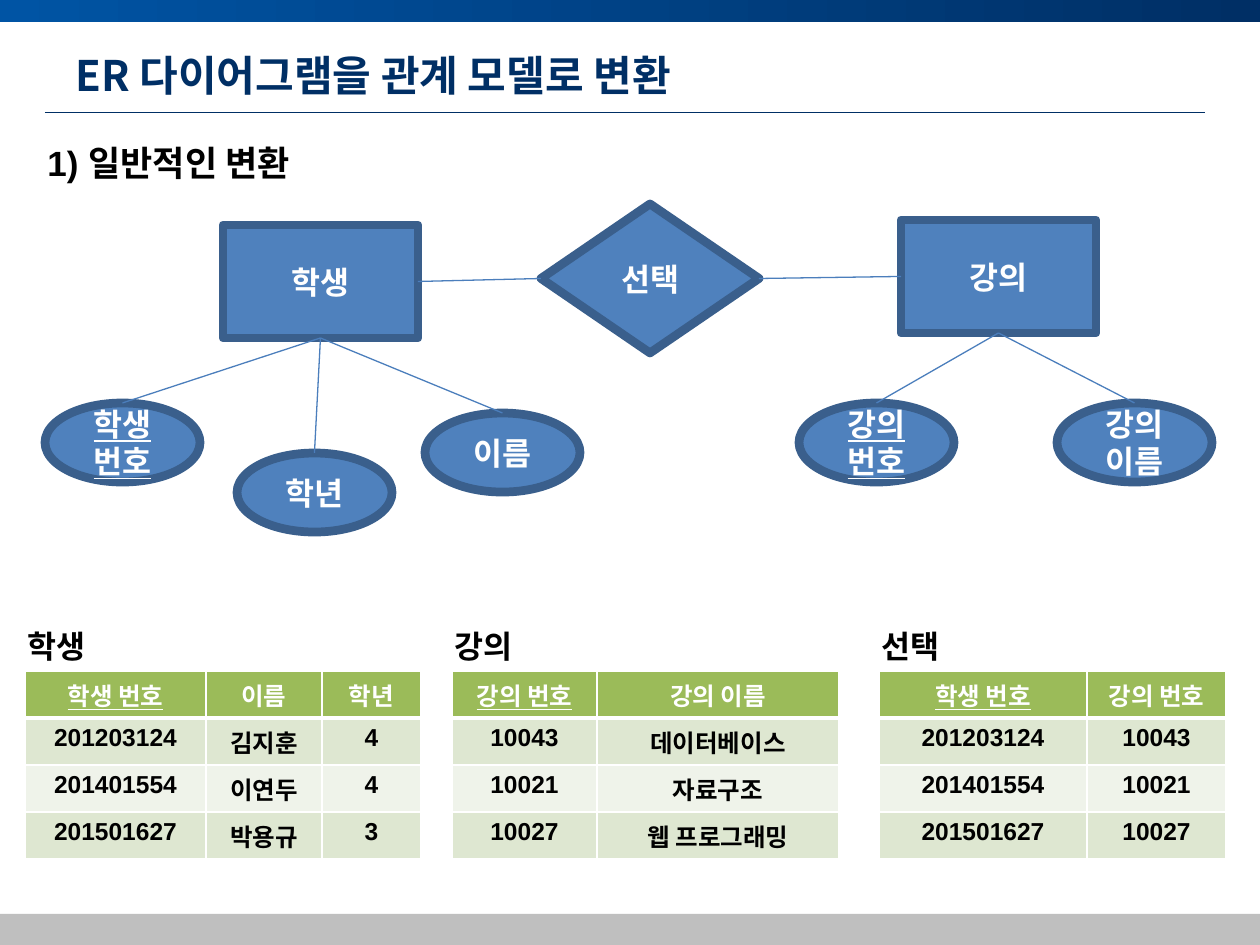
from dataclasses import dataclass

from lxml import etree
from pptx import Presentation
from pptx import util as u
from pptx.dml.color import RGBColor
from pptx.enum import shapes, text
from pptx.oxml import ns

SCALE = 914400 / 126  # EMU in one px
FONT = "Noto Sans CJK KR"
HUES = {
    "navy": "002F65", "blue": "0054A4", "gray": "BFBFBF", "black": "000000",
    "white": "FFFFFF", "node": "4F81BD", "edge": "3A5F8C", "link": "4B7EBC",
    "head": "9BBB59", "odd": "DEE7D1", "even": "EFF3EA",
}
RECT = shapes.MSO_SHAPE.RECTANGLE
DIAMOND = shapes.MSO_SHAPE.FLOWCHART_DECISION
OVAL = shapes.MSO_SHAPE.OVAL
TOP, LEFT, BOTTOM, RIGHT = range(4)


@dataclass
class Node:
    name: str
    kind: int
    x: int
    y: int
    key: bool = False


@dataclass
class Link:
    start: str
    out: int
    end: str
    into: int


@dataclass
class Grid:
    name: str
    x: int
    cols: list[int]
    rows: list[list[str]]


SIZES = {RECT: (195, 113), DIAMOND: (218, 149), OVAL: (155, 79)}

NODES = [
    Node("학생", RECT, 223, 225),
    Node("강의", RECT, 901, 220),
    Node("선택", DIAMOND, 541, 204),
    Node("학생번호", OVAL, 45, 403, key=True),
    Node("학년", OVAL, 237, 453),
    Node("이름", OVAL, 425, 413),
    Node("강의번호", OVAL, 799, 403, key=True),
    Node("강의이름", OVAL, 1057, 403),
]

LINKS = [
    Link("학생", RIGHT, "선택", LEFT),
    Link("선택", RIGHT, "강의", LEFT),
    *(Link("학생", BOTTOM, end, TOP) for end in ("학생번호", "학년", "이름")),
    *(Link("강의", BOTTOM, end, TOP) for end in ("강의번호", "강의이름")),
]

GRIDS = [
    Grid("학생", 25, [181, 116, 99], [
        ["학생 번호", "이름", "학년"],
        ["201203124", "김지훈", "4"],
        ["201401554", "이연두", "4"],
        ["201501627", "박용규", "3"],
    ]),
    Grid("강의", 452, [145, 242], [
        ["강의 번호", "강의 이름"],
        ["10043", "데이터베이스"],
        ["10021", "자료구조"],
        ["10027", "웹 프로그래밍"],
    ]),
    Grid("선택", 879, [208, 139], [
        ["학생 번호", "강의 번호"],
        ["201203124", "10043"],
        ["201401554", "10021"],
        ["201501627", "10027"],
    ]),
]


def px(*vals: int) -> list[int]:
    return [round(val * SCALE) for val in vals]


def hue(name: str) -> RGBColor:
    return RGBColor.from_string(HUES[name])


def write(frame, words: str, size: int, color: str = "black", font: str = "Arial",
          align=text.PP_ALIGN.LEFT, under: bool = False) -> None:
    para = frame.paragraphs[0]
    para.alignment = align
    run = para.add_run()
    run.text = words
    face = run.font
    face.name, face.size, face.bold = font, u.Pt(size), True
    face.underline = under
    face.color.rgb = hue(color)
    asian = etree.SubElement(face._element, ns.qn("a:ea"))
    asian.set("typeface", FONT)


def label(slide, words: str, x: int, y: int, wide: int, high: int, size: int) -> None:
    frame = slide.shapes.add_textbox(*px(x, y, wide, high)).text_frame
    frame.word_wrap = False
    write(frame, words, size)


def bar(slide, y: int, high: int):
    """Add a band across the slide and return its fill."""
    band = slide.shapes.add_shape(RECT, *px(0, y, 1260, high))
    band.shadow.inherit = False
    band.line.fill.background()
    return band.fill


def rule(slide, color: str, width: float, ends=(0, 0, 0, 0)):
    """Add a straight line without a shadow."""
    line = slide.shapes.add_connector(shapes.MSO_CONNECTOR.STRAIGHT, *px(*ends))
    line.line.color.rgb = hue(color)
    line.line.width = u.Pt(width)
    etree.SubElement(line._element.spPr, ns.qn("a:effectLst"))
    return line


def draw_node(slide, node: Node):
    shape = slide.shapes.add_shape(node.kind, *px(node.x, node.y, *SIZES[node.kind]))
    shape.shadow.inherit = False
    shape.fill.solid()
    shape.fill.fore_color.rgb = hue("node")
    shape.line.color.rgb = hue("edge")
    shape.line.width = u.Pt(5)
    frame = shape.text_frame
    frame.word_wrap = True
    frame.vertical_anchor = text.MSO_ANCHOR.MIDDLE
    write(frame, node.name, 18, "white", FONT, text.PP_ALIGN.CENTER, node.key)
    return shape


def border(cell, row: int) -> None:
    """Draw white cell borders, thick between the header and the body."""
    props = cell._tc.get_or_add_tcPr()
    for side in "LRTB":
        thick = (row, side) in ((0, "B"), (1, "T"))
        line = etree.SubElement(props, ns.qn(f"a:ln{side}"), w=str(u.Pt(3 if thick else 1)))
        fill = etree.SubElement(line, ns.qn("a:solidFill"))
        etree.SubElement(fill, ns.qn("a:srgbClr"), val=HUES["white"])


def draw_grid(slide, grid: Grid) -> None:
    label(slide, grid.name, grid.x - 10, 621, 89, 50, 18)
    size = len(grid.rows), len(grid.cols)
    table = slide.shapes.add_table(*size, *px(grid.x, 671, sum(grid.cols), 47 * size[0])).table
    for col, wide in zip(table.columns, px(*grid.cols)):
        col.width = wide
    for r, row in enumerate(grid.rows):
        for c, words in enumerate(row):
            cell = table.cell(r, c)
            border(cell, r)
            cell.fill.solid()
            cell.fill.fore_color.rgb = hue("head" if r == 0 else "odd" if r % 2 else "even")
            write(cell.text_frame, words, 14, "black" if r else "white",
                  align=text.PP_ALIGN.CENTER, under=r == c == 0)


def main() -> None:
    deck = Presentation()
    deck.slide_width, deck.slide_height = px(1260, 945)
    slide = deck.slides.add_slide(deck.slide_layouts[5])

    top = bar(slide, 0, 22)
    top.gradient()
    top.gradient_angle = 0
    for stop, name in zip(top.gradient_stops, ("blue", "navy")):
        stop.color.rgb = hue(name)
    foot = bar(slide, 914, 31)
    foot.solid()
    foot.fore_color.rgb = hue("gray")
    rule(slide, "navy", 0.5, (45, 112, 1205, 112))

    title = slide.shapes.title
    title.left, title.top, title.width, title.height = px(63, 38, 1134, 73)
    title.text_frame.vertical_anchor = text.MSO_ANCHOR.MIDDLE
    write(title.text_frame, "ER 다이어그램을 관계 모델로 변환", 24, "navy", FONT)
    label(slide, "1) 일반적인 변환", 35, 135, 318, 55, 20)

    drawn = {node.name: draw_node(slide, node) for node in NODES}
    for link in LINKS:
        line = rule(slide, "link", 0.75)
        line.begin_connect(drawn[link.start], link.out)
        line.end_connect(drawn[link.end], link.into)
    for grid in GRIDS:
        draw_grid(slide, grid)
    deck.save("out.pptx")


if __name__ == "__main__":
    main()
